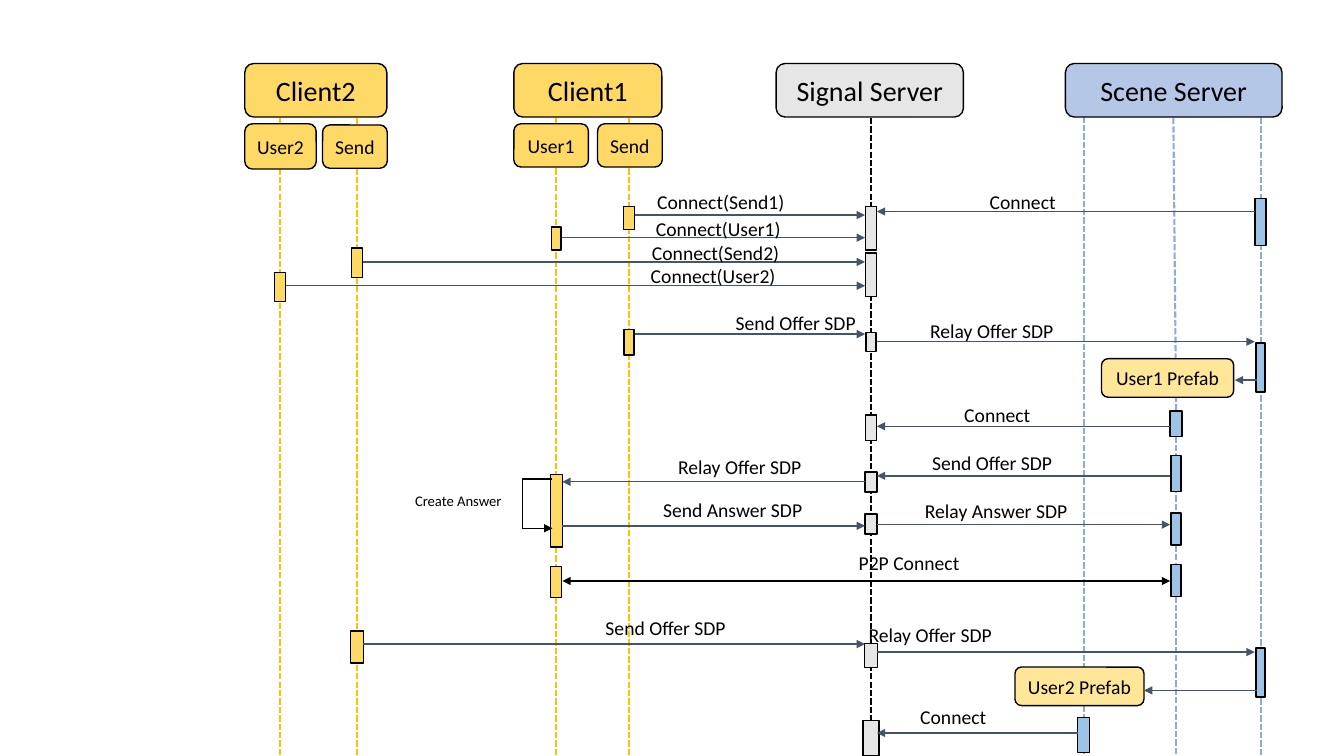
import pptx
import pptx.dml.color
import pptx.enum.dml
import pptx.enum.shapes
import pptx.enum.text
import pptx.oxml.ns
import pptx.oxml.xmlchemy
import pptx.util

Cm = pptx.util.Cm
SHAPES = pptx.enum.shapes.MSO_SHAPE
BLACK, SLATE = "000000", "44546A"
GOLD, GREY, BLUE = "FFD966", "E7E6E6", "9DC3E6"
BOTTOM = 19.05
BAR_GAP = 0.15
LANES = {"user2": 7.06, "send2": 9.0, "user1": 14.02, "send1": 15.85,
         "signal": 21.95, "prefab2": 27.31, "prefab1": 29.64, "server": 31.77}

LIFELINES = [
    ("prefab2", 2.3, "8FAADC"), ("prefab1", 10.36, "8FAADC"), ("server", 2.97, "8FAADC"),
    ("user1", 2.97, "FFC000"), ("send1", 2.97, "FFC000"),
    ("user2", 2.97, "FFC000"), ("send2", 2.97, "FFC000"), ("signal", 2.97, BLACK),
]

HEADERS = [
    ("Client2", 6.17, 1.6, 3.58, 1.35, GOLD, 20),
    ("Client1", 12.95, 1.6, 3.73, 1.35, GOLD, 20),
    ("Signal Server", 19.56, 1.6, 4.72, 1.35, GREY, 20),
    ("Scene Server", 26.85, 1.6, 5.46, 1.35, "B4C7E7", 20),
    ("User2", 6.17, 3.12, 1.8, 1.14, GOLD, 14),
    ("Send", 8.13, 3.15, 1.63, 1.09, GOLD, 14),
    ("User1", 12.95, 3.12, 1.88, 1.09, GOLD, 14),
    ("Send", 15.06, 3.12, 1.63, 1.09, GOLD, 14),
    ("User1 Prefab", 27.76, 9.04, 3.33, 0.97, "FFE699", 14),
    ("User2 Prefab", 25.58, 16.81, 3.25, 0.97, "FFE699", 14),
]

BARS = {
    "user2": (GOLD, [(6.86, 0.28, 0.74)]),
    "send2": (GOLD, [(6.25, 0.28, 0.74), (15.9, 0.33, 0.81)]),
    "user1": (GOLD, [(5.72, 0.23, 0.58), (11.96, 0.3, 1.83), (14.27, 0.28, 0.79)]),
    "send1": (GOLD, [(5.21, 0.28, 0.58), (8.31, 0.25, 0.64)]),
    "signal": (GREY, [(5.21, 0.28, 1.09), (6.38, 0.28, 1.09), (8.38, 0.25, 0.48),
                      (10.46, 0.28, 0.64), (11.89, 0.3, 0.51), (12.95, 0.3, 0.51),
                      (16.21, 0.33, 0.61), (18.16, 0.41, 0.89)]),
    "prefab2": (BLUE, [(18.08, 0.3, 0.89)]),
    "prefab1": (BLUE, [(10.36, 0.3, 0.64), (11.48, 0.25, 0.91),
                       (12.93, 0.25, 0.81), (14.22, 0.25, 0.81)]),
    "server": (BLUE, [(5.0, 0.28, 1.19), (8.64, 0.23, 1.24), (16.33, 0.23, 1.24)]),
}

LABEL_WIDTHS = {
    "Connect": 2.18, "Connect(Send1)": 3.76, "Connect(Send2)": 3.76,
    "Connect(User1)": 3.68, "Connect(User2)": 3.68, "Send Offer SDP": 3.56,
    "Relay Offer SDP": 3.66, "Send Answer SDP": 4.04, "Relay Answer SDP": 4.14,
    "P2P Connect": 3.05, "Create Answer": 2.74,
}

MESSAGES = [
    ("server", "signal", 5.33, "Connect", 24.69, 4.65),
    ("send1", "signal", 5.42, "Connect(Send1)", 16.31, 4.67),
    ("user1", "signal", 5.99, "Connect(User1)", 16.28, 5.33),
    ("send2", "signal", 6.6, "Connect(Send2)", 16.18, 5.94),
    ("user2", "signal", 7.2, "Connect(User2)", 16.15, 6.53),
    ("send1", "signal", 8.42, "Send Offer SDP", 18.29, 7.7),
    ("signal", "server", 8.61, "Relay Offer SDP", 23.19, 7.9),
    ("prefab1", "signal", 10.74, "Connect", 24.05, 10.03),
    ("prefab1", "signal", 11.99, "Send Offer SDP", 23.24, 11.23),
    ("signal", "user1", 12.14, "Relay Offer SDP", 16.84, 11.35),
    ("user1", "signal", 13.25, "Send Answer SDP", 16.46, 12.42),
    ("signal", "prefab1", 13.22, "Relay Answer SDP", 23.06, 12.45),
    ("prefab1", "user1", 14.64, "P2P Connect", 21.39, 13.77),
    ("send2", "signal", 16.23, "Send Offer SDP", 15.01, 15.39),
    ("signal", "server", 16.43, "Relay Offer SDP", 21.64, 15.57),
    ("prefab2", "signal", 18.47, "Connect", 22.94, 17.65),
]


def colour(value):
    return pptx.dml.color.RGBColor.from_string(value)


def add_text(para, text, size):
    span = para.add_run()
    span.text = text
    span.font.name = "Calibri"
    span.font.size = pptx.util.Pt(size)
    span.font.color.rgb = colour(BLACK)


def add_box(page, kind, left, top, width, height, fill):
    box = page.shapes.add_shape(kind, Cm(left), Cm(top), Cm(width), Cm(height))
    box.shadow.inherit = False
    box.fill.solid()
    box.fill.fore_color.rgb = colour(fill)
    box.line.color.rgb = colour(BLACK)
    box.line.width = pptx.util.Pt(1)
    return box


def add_header(page, text, left, top, width, height, fill, size):
    box = add_box(page, SHAPES.ROUNDED_RECTANGLE, left, top, width, height, fill)
    frame = box.text_frame
    frame.margin_left = frame.margin_right = Cm(0)
    frame.vertical_anchor = pptx.enum.text.MSO_ANCHOR.MIDDLE
    para = frame.paragraphs[0]
    para.alignment = pptx.enum.text.PP_ALIGN.CENTER
    add_text(para, text, size)


def add_label(page, text, left, top, size=14):
    height = 0.86 if size == 14 else 0.7
    box = page.shapes.add_textbox(Cm(left), Cm(top), Cm(LABEL_WIDTHS[text]), Cm(height))
    box.text_frame.word_wrap = False
    box.text_frame.auto_size = pptx.enum.text.MSO_AUTO_SIZE.SHAPE_TO_FIT_TEXT
    add_text(box.text_frame.paragraphs[0], text, size)


def add_line(page, start, end, tint, weight=1, heads=()):
    line = page.shapes.add_connector(
        pptx.enum.shapes.MSO_CONNECTOR.STRAIGHT, *[Cm(value) for value in start + end])
    line.line.color.rgb = colour(tint)
    line.line.width = pptx.util.Pt(weight)
    properties = line._element.spPr
    properties.append(pptx.oxml.xmlchemy.OxmlElement("a:effectLst"))
    for head in heads:
        arrow = pptx.oxml.xmlchemy.OxmlElement(head)
        arrow.set("type", "triangle")
        properties.find(pptx.oxml.ns.qn("a:ln")).append(arrow)
    return line


def add_lifeline(page, start, end, tint):
    line = add_line(page, start, end, tint, 1.5)
    line.line.dash_style = pptx.enum.dml.MSO_LINE.SQUARE_DOT


def add_message(page, sender, receiver, y, text, left, top):
    start, end = LANES[sender], LANES[receiver]
    gap = BAR_GAP if end > start else -BAR_GAP
    peer = text == "P2P Connect"
    add_line(page, (start + gap, y), (end - gap, y), BLACK if peer else SLATE,
             heads=("a:headEnd", "a:tailEnd") if peer else ("a:tailEnd",))
    add_label(page, text, left, top)


def add_answer_loop(page):
    left, right, top, bottom = 13.16, 13.92, 12.07, 13.31
    add_line(page, (right, top), (left, top), BLACK)
    add_line(page, (left, top), (left, bottom), BLACK)
    add_line(page, (left, bottom), (right, bottom), BLACK, heads=("a:tailEnd",))
    add_label(page, "Create Answer", 10.21, 12.27, 10.5)


def main():
    deck = pptx.Presentation()
    deck.slide_width, deck.slide_height = Cm(33.87), Cm(BOTTOM)
    page = deck.slides.add_slide(deck.slide_layouts[6])
    add_lifeline(page, (29.57, 2.97), (LANES["prefab1"], 10.36), "8FAADC")
    for lane, top, tint in LIFELINES:
        add_lifeline(page, (LANES[lane], top), (LANES[lane], BOTTOM), tint)
    for header in HEADERS:
        add_header(page, *header)
    for lane, (fill, bars) in BARS.items():
        for top, width, height in bars:
            add_box(page, SHAPES.RECTANGLE, LANES[lane] - width / 2, top, width, height, fill)
    for message in MESSAGES:
        add_message(page, *message)
    for prefab_edge, y in ((31.12, 9.58), (28.83, 17.4)):
        add_line(page, (31.67, y), (prefab_edge, y), SLATE, heads=("a:tailEnd",))
    add_answer_loop(page)
    deck.save("out.pptx")


if __name__ == "__main__":
    main()
